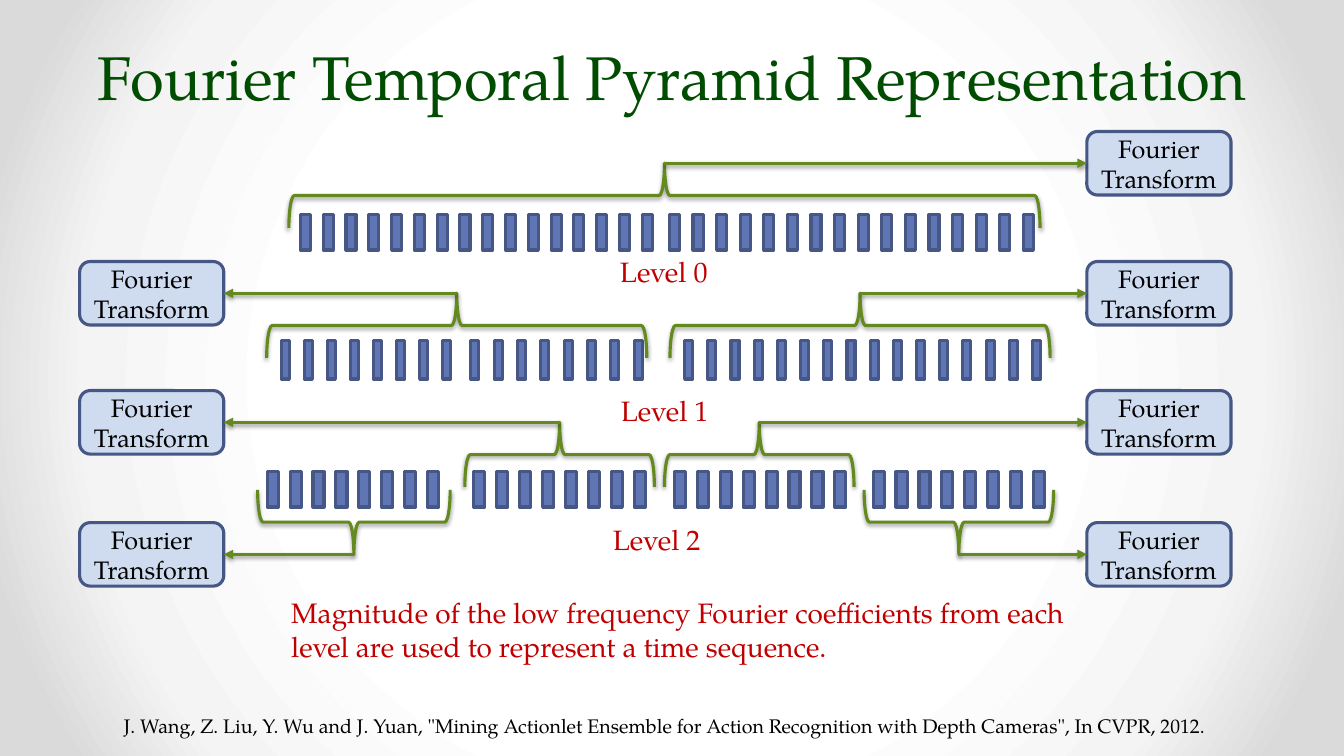
"""Build the Fourier temporal pyramid slide."""
from pptx import Presentation
from pptx.dml.color import RGBColor
from pptx.enum.shapes import MSO_CONNECTOR, MSO_SHAPE
from pptx.enum.text import MSO_ANCHOR, MSO_AUTO_SIZE, PP_ALIGN
from pptx.oxml import parse_xml
from pptx.oxml.ns import nsdecls
from pptx.util import Inches, Pt

RECTANGLE, ROUNDED, BRACE = MSO_SHAPE.RECTANGLE, MSO_SHAPE.ROUNDED_RECTANGLE, MSO_SHAPE.LEFT_BRACE
STRAIGHT = MSO_CONNECTOR.STRAIGHT
CENTER, LEFT = PP_ALIGN.CENTER, PP_ALIGN.LEFT
TOP, MIDDLE = MSO_ANCHOR.TOP, MSO_ANCHOR.MIDDLE
NO_AUTOFIT = MSO_AUTO_SIZE.NONE

FONT = "TeX Gyre Pagella"
BAR_FILL, BAR_LINE, BRACE_GREEN = "6076B4", "475785", "63891F"
BOX_FILL, TITLE_GREEN, RED, BLACK = "CFDCF0", "004C00", "C00000", "000000"
BACKGROUND_STOPS = [(50, "FFFFFF"), (76, "F4F4F4"), (92, "DADADA")]

TITLE = "Fourier Temporal Pyramid Representation"
BOX_TEXT = "Fourier Transform"
TEXTS = [
    ("Magnitude of the low frequency Fourier coefficients from each level are used "
     "to represent a time sequence.", (2.79, 5.86, 8.1, 0.77), 20, RED),
    ("Level 0", (6.05, 2.48, 1.1, 0.44), 20, RED),
    ("Level 1", (6.06, 3.85, 1.1, 0.44), 20, RED),
    ("Level 2", (5.98, 5.13, 1.1, 0.44), 20, RED),
    ('J. Wang, Z. Liu, Y. Wu and J. Yuan, "Mining Actionlet Ensemble for Action '
     'Recognition with Depth Cameras", In CVPR, 2012.', (1.13, 7.03, 11.08, 0.34), 14, BLACK),
]

# Each level: bar top, width, height, then groups of (first left, last left, count).
LEVELS = [
    (2.13, 0.1, 0.35, [(2.98, 6.37, 16), (6.64, 10.15, 16)]),
    (3.38, 0.08, 0.38, [(2.79, 4.39, 8), (4.67, 6.29, 8), (6.79, 10.24, 16)]),
    (4.68, 0.11, 0.35, [(2.65, 4.24, 8), (4.7, 6.29, 8), (6.69, 8.28, 8), (8.66, 10.25, 8)]),
]
# Each brace: centre, span, height of its tip, tip points up, its box is on the right.
BRACES = [
    (6.59, 7.45, 1.62, True, True),
    (4.53, 3.77, 2.91, True, False),
    (8.53, 3.77, 2.91, True, True),
    (3.51, 1.91, 5.5, False, False),
    (5.55, 1.88, 4.19, True, False),
    (7.53, 1.88, 4.19, True, True),
    (9.51, 1.88, 5.5, False, True),
]
BRACE_DEPTH = 0.64
BOX_WIDTH, BOX_HEIGHT = 1.43, 0.63
BOX_LEFT = {False: 0.79, True: 10.78}
BOX_SIDE = {False: 3, True: 1}


def color(value):
    return RGBColor.from_string(value)


def write(shape, text, size, text_color, align=LEFT, anchor=TOP):
    frame = shape.text_frame
    frame.word_wrap = True
    frame.auto_size = NO_AUTOFIT
    frame.vertical_anchor = anchor
    frame.text = text
    paragraph = frame.paragraphs[0]
    paragraph.alignment = align
    paragraph.font.name = FONT
    paragraph.font.size = Pt(size)
    paragraph.font.color.rgb = color(text_color)
    return paragraph


def outline(shape, line_color):
    shape.line.color.rgb = color(line_color)
    shape.line.width = Pt(2.25)


def add_shape(slide, kind, place, line_color, fill=None):
    shape = slide.shapes.add_shape(kind, *map(Inches, place))
    shape.shadow.inherit = False
    if fill:
        shape.fill.solid()
        shape.fill.fore_color.rgb = color(fill)
    else:
        shape.fill.background()
    outline(shape, line_color)
    return shape


def add_shadow(shape):
    properties = shape.element.spPr
    for old in properties.xpath("a:effectLst"):
        properties.remove(old)
    properties.append(parse_xml(
        f'<a:effectLst {nsdecls("a")}><a:outerShdw blurRad="{Pt(3.1)}" dist="{Pt(1.6)}" '
        'dir="5400000" rotWithShape="0"><a:srgbClr val="000000"><a:alpha val="38000"/>'
        '</a:srgbClr></a:outerShdw></a:effectLst>'))


def set_background(slide):
    stops = "".join(f'<a:gs pos="{position * 1000}"><a:srgbClr val="{value}"/></a:gs>'
                    for position, value in BACKGROUND_STOPS)
    slide.element.cSld.insert(0, parse_xml(
        f'<p:bg {nsdecls("p", "a")}><p:bgPr><a:gradFill rotWithShape="1"><a:gsLst>{stops}'
        '</a:gsLst><a:path path="circle"><a:fillToRect l="50000" t="50000" r="50000" '
        'b="50000"/></a:path></a:gradFill><a:effectLst/></p:bgPr></p:bg>'))


def add_transform(slide, center, span, tip, up, right):
    middle = tip + (BRACE_DEPTH / 2 if up else -BRACE_DEPTH / 2)
    brace = add_shape(slide, BRACE, (center - BRACE_DEPTH / 2, middle - span / 2,
                                     BRACE_DEPTH, span), BRACE_GREEN)
    brace.rotation = 90 if up else 270
    add_shadow(brace)

    box = add_shape(slide, ROUNDED, (BOX_LEFT[right], tip - BOX_HEIGHT / 2,
                                     BOX_WIDTH, BOX_HEIGHT), BAR_LINE, BOX_FILL)
    write(box, BOX_TEXT, 18, BLACK, CENTER, MIDDLE)

    start = Inches(center), Inches(tip)
    arrow = slide.shapes.add_connector(STRAIGHT, *start, *start)
    arrow.end_connect(box, BOX_SIDE[right])
    outline(arrow, BRACE_GREEN)
    arrow.line._get_or_add_ln().append(
        parse_xml(f'<a:tailEnd {nsdecls("a")} type="triangle"/>'))
    add_shadow(arrow)


def main():
    presentation = Presentation()
    presentation.slide_width, presentation.slide_height = Inches(13.33), Inches(7.5)
    slide = presentation.slides.add_slide(presentation.slide_layouts[5])
    set_background(slide)

    title = slide.shapes.title
    title.left, title.top, title.width, title.height = map(Inches, (0.67, 0.26, 12, 0.78))
    write(title, TITLE, 44, TITLE_GREEN, CENTER).line_spacing = Pt(58)

    for top, width, height, groups in LEVELS:
        for first, last, count in groups:
            pitch = (last - first) / (count - 1)
            for index in range(count):
                add_shape(slide, RECTANGLE, (first + index * pitch, top, width, height),
                          BAR_LINE, BAR_FILL)

    for brace in BRACES:
        add_transform(slide, *brace)

    for text, place, size, text_color in TEXTS:
        write(slide.shapes.add_textbox(*map(Inches, place)), text, size, text_color)

    presentation.save("out.pptx")


if __name__ == "__main__":
    main()
